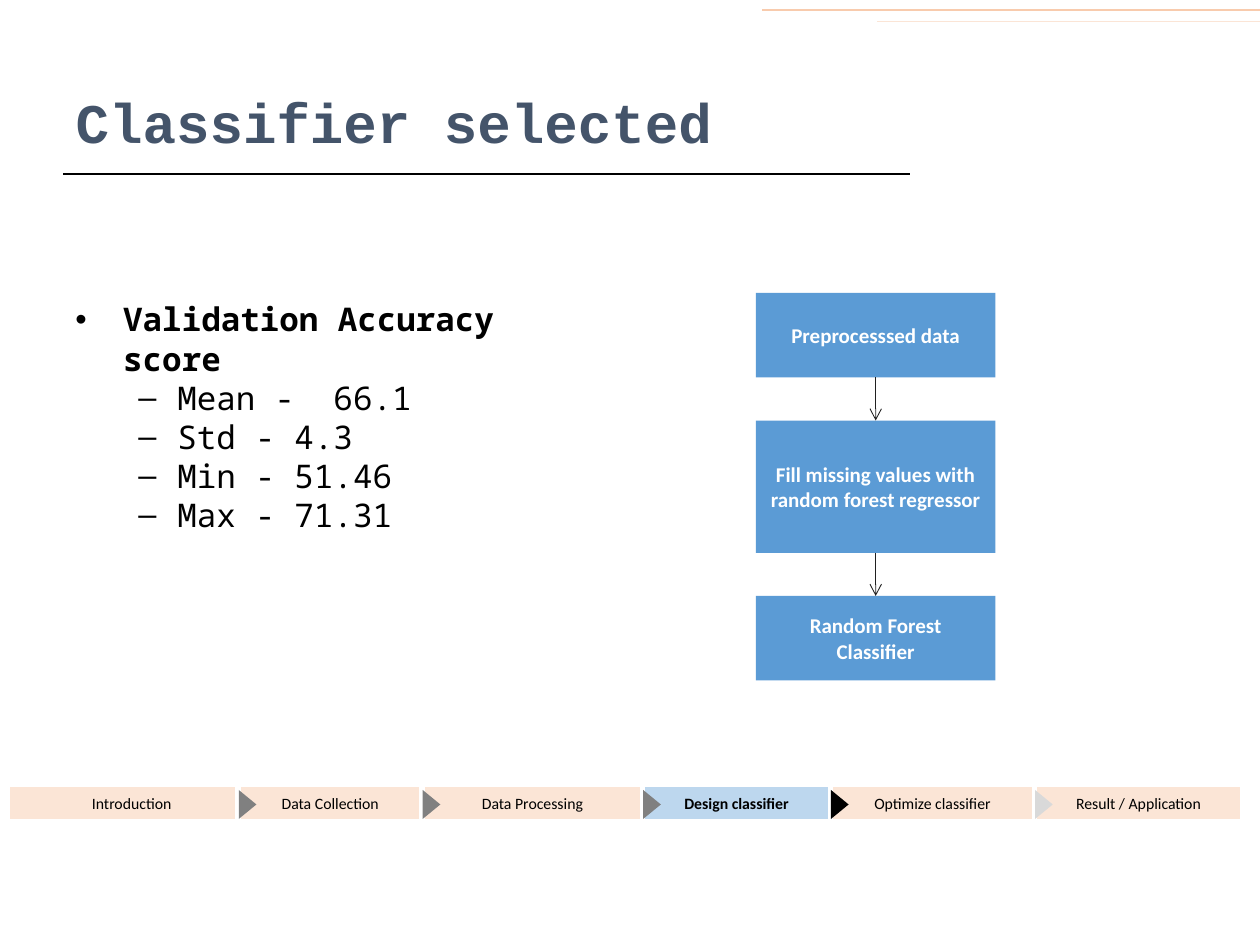
from itertools import accumulate, pairwise
from lxml.etree import SubElement as Sub
from pptx import Presentation
from pptx.dml.color import RGBColor
from pptx.enum.shapes import MSO_CONNECTOR as Link, MSO_SHAPE as Form
from pptx.enum.text import MSO_ANCHOR as Anchor, PP_ALIGN as Align
from pptx.oxml.ns import qn
from pptx.util import Inches, Pt

WIDE, HIGH = 10, 7.5
PEACH, BLUE = "FBE5D6", "5B9BD5"


def tint(code):
    return RGBColor.from_string(code)


def write(para, text, font="Calibri", size=12, color="000000", bold=False, align=Align.CENTER):
    para.alignment = align
    run = para.add_run()
    run.text = text
    run.font.name, run.font.size, run.font.bold = font, Pt(size), bold
    run.font.color.rgb = tint(color)


def place(item, left, top, width, height):
    item.left, item.top = Inches(left), Inches(top)
    item.width, item.height = Inches(width), Inches(height)


def shape(slide, form, box, fill, edge=None):
    item = slide.shapes.add_shape(form, *map(Inches, box))
    item.shadow.inherit = False
    item.fill.solid()
    item.fill.fore_color.rgb = tint(fill)
    if edge:
        item.line.color.rgb = tint(edge)
        item.line.width = Pt(3)
    else:
        item.line.fill.background()
    return item


def label(item, text, **look):
    frame = item.text_frame
    frame.word_wrap = True
    frame.vertical_anchor = Anchor.MIDDLE
    write(frame.paragraphs[0], text, **look)


def line(slide, start, end, color, width):
    item = slide.shapes.add_connector(Link.STRAIGHT, *map(Inches, (*start, *end)))
    item.line.color.rgb = tint(color)
    item.line.width = Pt(width)
    Sub(item._element.spPr, qn("a:effectLst"))
    return item


def header(slide, left, top, width, height):
    line(slide, (left, 1.38), (7.22, 1.38), "000000", 1.5)
    line(slide, (WIDE, 0.08), (6.05, 0.08), "F8CBAD", 1)
    line(slide, (WIDE, 0.17), (6.96, 0.17), PEACH, 1)
    title = slide.shapes.title
    place(title, left, top, width, height)
    label(title, "Classifier selected", font="Courier New", size=31.9,
          color="44546A", bold=True, align=Align.LEFT)


def scores(slide, left, top, width, height):
    frame = slide.shapes.add_textbox(*map(Inches, (left, top, width, height))).text_frame
    frame.word_wrap = True
    rows = ["Validation Accuracy score", "Mean -  66.1", "Std - 4.3", "Min - 51.46", "Max - 71.31"]
    for row, text in enumerate(rows):
        para = frame.add_paragraph() if row else frame.paragraphs[0]
        para.level = min(row, 1)
        para.line_spacing = Pt(22.4)
        write(para, text, font="Noto Sans Mono", size=18.6, bold=row == 0, align=Align.LEFT)
        mark, inset, hang = ("–", 0.81, 0.31) if row else ("•", 0.38, 0.38)
        props = para._p.get_or_add_pPr()
        props.set("marL", str(Inches(inset)))
        props.set("indent", str(-Inches(hang)))
        Sub(props, qn("a:buFont"), typeface="Arial")
        Sub(props, qn("a:buChar"), char=mark)


def flow(slide, left, top, width, height):
    steps = [("Preprocesssed data", 0.67),
             ("Fill missing values with random forest regressor", 1.05),
             ("Random Forest Classifier", 0.67)]
    gap = (height - sum(tall for _, tall in steps)) / (len(steps) - 1)
    boxes = []
    for text, tall in steps:
        item = shape(slide, Form.RECTANGLE, (left, top, width, tall), BLUE)
        label(item, text, color="FFFFFF", bold=True)
        boxes.append(item)
        top += tall + gap
    for upper, lower in pairwise(boxes):
        arrow = line(slide, (0, 0), (1, 1), "202020", 0.5)
        arrow.begin_connect(upper, 2)
        arrow.end_connect(lower, 0)
        Sub(arrow.line._get_or_add_ln(), qn("a:tailEnd"), type="arrow")


def trail(slide, left, top, width, height):
    names = ["Introduction", "Data Collection", "Data Processing", "Design classifier",
             "Optimize classifier", "Result / Application"]
    spans = [1.83, 1.46, 1.75, 1.49, 1.62]
    spans.append(width - sum(spans))
    edges = list(accumulate(spans, initial=left))
    for name, edge, span in zip(names, edges, spans):
        now = name == "Design classifier"
        extra = 0.14 if edge == left else 0
        item = shape(slide, Form.RECTANGLE, (edge, top, span + extra, height),
                     "BDD7EE" if now else PEACH, "FFFFFF")
        label(item, name, size=9, bold=now)
    base, tall = 0.23, 0.14
    tips = ["808080"] * 3 + ["000000", "D9D9D9"]
    for edge, color in zip(edges[1:], tips):
        box = (edge + 0.075 - base / 2, top + 0.16 - tall / 2, base, tall)
        shape(slide, Form.ISOSCELES_TRIANGLE, box, color).rotation = 90


def main():
    deck = Presentation()
    deck.slide_width, deck.slide_height = Inches(WIDE), Inches(HIGH)
    slide = deck.slides.add_slide(deck.slide_layouts[5])
    header(slide, WIDE * 0.05, HIGH * 0.07, WIDE * 0.85, 0.87)
    trail(slide, 0.06, HIGH * 0.83, WIDE * 0.98, HIGH * 0.04)
    flow(slide, WIDE * 0.6, HIGH * 0.31, WIDE * 0.19, HIGH * 0.41)
    scores(slide, WIDE * 0.05, HIGH * 0.31, WIDE * 0.44, HIGH * 0.49)
    deck.save("out.pptx")


if __name__ == "__main__":
    main()
